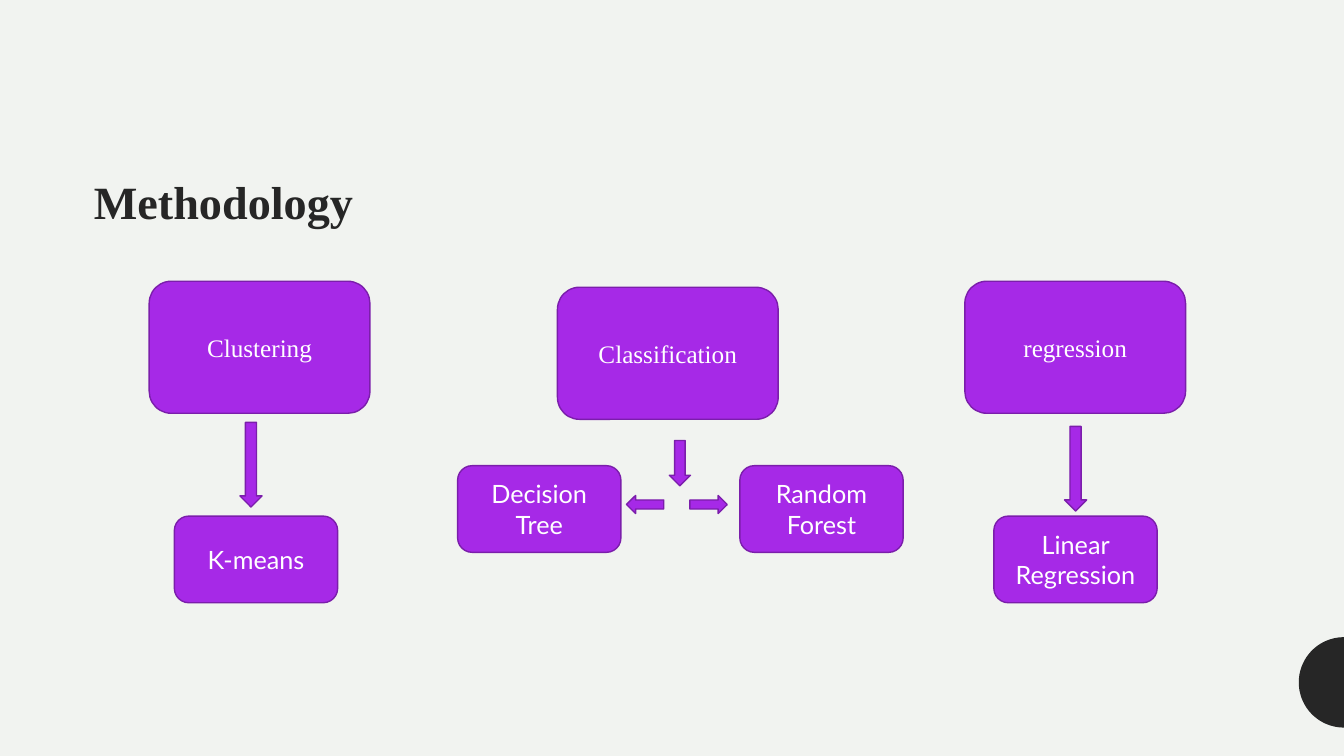
from math import cos, pi, sin

from pptx import Presentation
from pptx.dml.color import RGBColor
from pptx.enum.shapes import MSO_SHAPE as Kind
from pptx.enum.text import MSO_ANCHOR as Anchor, PP_ALIGN as Align
from pptx.util import Inches, Pt

COLS, ROWS = 160, 90
HUES = {"paper": "F1F3F0", "ink": "262626", "fill": "A629E7",
        "edge": "7B1EAB", "white": "FFFFFF"}
SERIF, SANS = "Times New Roman", "Lato"
BIG, SMALL = (26.28, 15.72), (19.44, 10.32)
LONG, SHORT, SIDE = (2.64, 10.08), (2.52, 5.4), (2.16, 4.44)

# Centre of each item in columns and rows
METHODS = [("Clustering", 30.9, 41.34), ("regression", 128, 41.34),
           ("Classification", 79.5, 42.06)]
MODELS = [("K-means", 30.48, 66.6), ("Random Forest", 97.8, 60.6),
          ("Decision Tree", 64.2, 60.6), ("Linear Regression", 128.04, 66.6)]
ARROWS = [(29.88, 55.32, LONG, 0), (80.94, 55.14, SHORT, 0),
          (128.04, 55.8, LONG, 0), (76.8, 60.06, SIDE, 90),
          (84.36, 60.06, SIDE, 270)]


def hue(name):
    return RGBColor.from_string(HUES[name])


class Board:
    def __init__(self, deck):
        self.wide, self.high = deck.slide_width, deck.slide_height
        self.slide = deck.slides.add_slide(deck.slide_layouts[6])
        self.shapes = self.slide.shapes
        back = self.slide.background.fill
        back.solid()
        back.fore_color.rgb = hue("paper")

    def x(self, cols):
        return round(self.wide * cols / COLS)

    def y(self, rows):
        return round(self.high * rows / ROWS)

    def paint(self, shape, fill, edge=None):
        shape.shadow.inherit = False
        shape.fill.solid()
        shape.fill.fore_color.rgb = hue(fill)
        if edge:
            shape.line.color.rgb = hue(edge)
            shape.line.width = Pt(1)
        else:
            shape.line.fill.background()

    def label(self, shape, text, font, size, tint):
        frame = shape.text_frame
        frame.word_wrap = True
        frame.vertical_anchor = Anchor.MIDDLE
        para = frame.paragraphs[0]
        para.text = text
        para.font.name = font
        para.font.size = Pt(size)
        para.font.color.rgb = hue(tint)
        return para

    def form(self, kind, col, row, size):
        """Add a preset shape centred on a grid point."""
        wide, high = size
        shape = self.shapes.add_shape(
            kind, self.x(col - wide / 2), self.y(row - high / 2),
            self.x(wide), self.y(high))
        self.paint(shape, "fill", "edge")
        return shape

    def box(self, text, col, row, size, font):
        shape = self.form(Kind.FLOWCHART_ALTERNATE_PROCESS, col, row, size)
        self.label(shape, text, font, 18, "white").alignment = Align.CENTER

    def arrow(self, col, row, size, turn):
        self.form(Kind.DOWN_ARROW, col, row, size).rotation = turn

    def title(self, text, col, row, wide, high):
        shape = self.shapes.add_textbox(
            self.x(col), self.y(row), self.x(wide), self.y(high))
        para = self.label(shape, text, SERIF, 33, "ink")
        para.font.bold = True
        para.line_spacing = 1.1

    def dome(self, row, size, steps=52):
        """Add a half disc against the right edge."""
        turns = [pi * i / steps for i in range(steps + 1)]
        points = [(self.x(COLS - size * sin(t)), self.y(row + size * cos(t)))
                  for t in turns]
        outline = self.shapes.build_freeform(*points[0])
        outline.add_line_segments(points[1:], close=True)
        self.paint(outline.convert_to_shape(), "ink")


def main():
    deck = Presentation()
    deck.slide_width, deck.slide_height = Inches(13.33), Inches(7.5)
    board = Board(deck)
    board.dome(81.24, 5.38)
    board.title("Methodology", 10, 18.25, 140, 10.8)
    for name, col, row in METHODS:
        board.box(name, col, row, BIG, SERIF)
    for name, col, row in MODELS:
        board.box(name, col, row, SMALL, SANS)
    for spot in ARROWS:
        board.arrow(*spot)
    deck.save("out.pptx")


if __name__ == "__main__":
    main()
